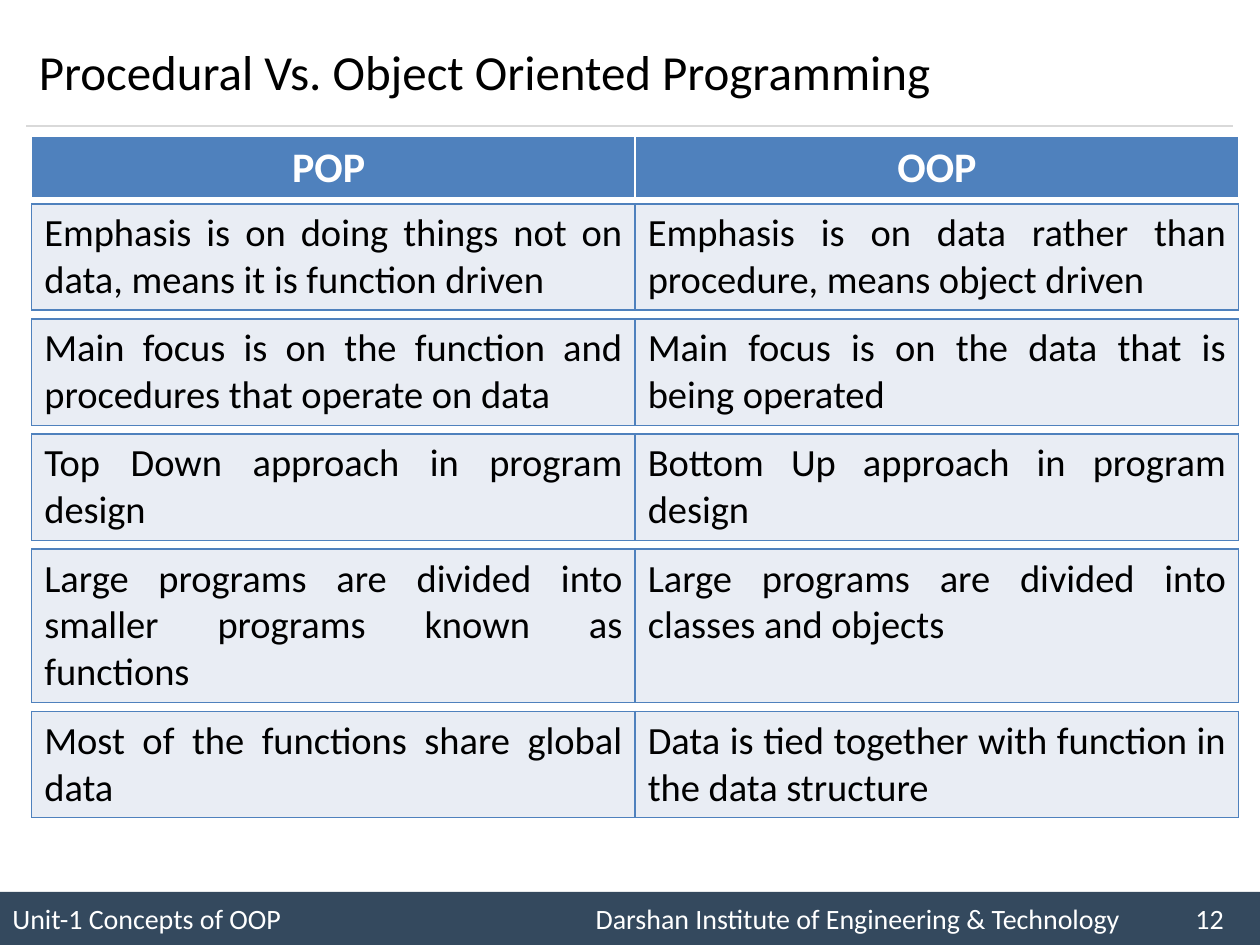
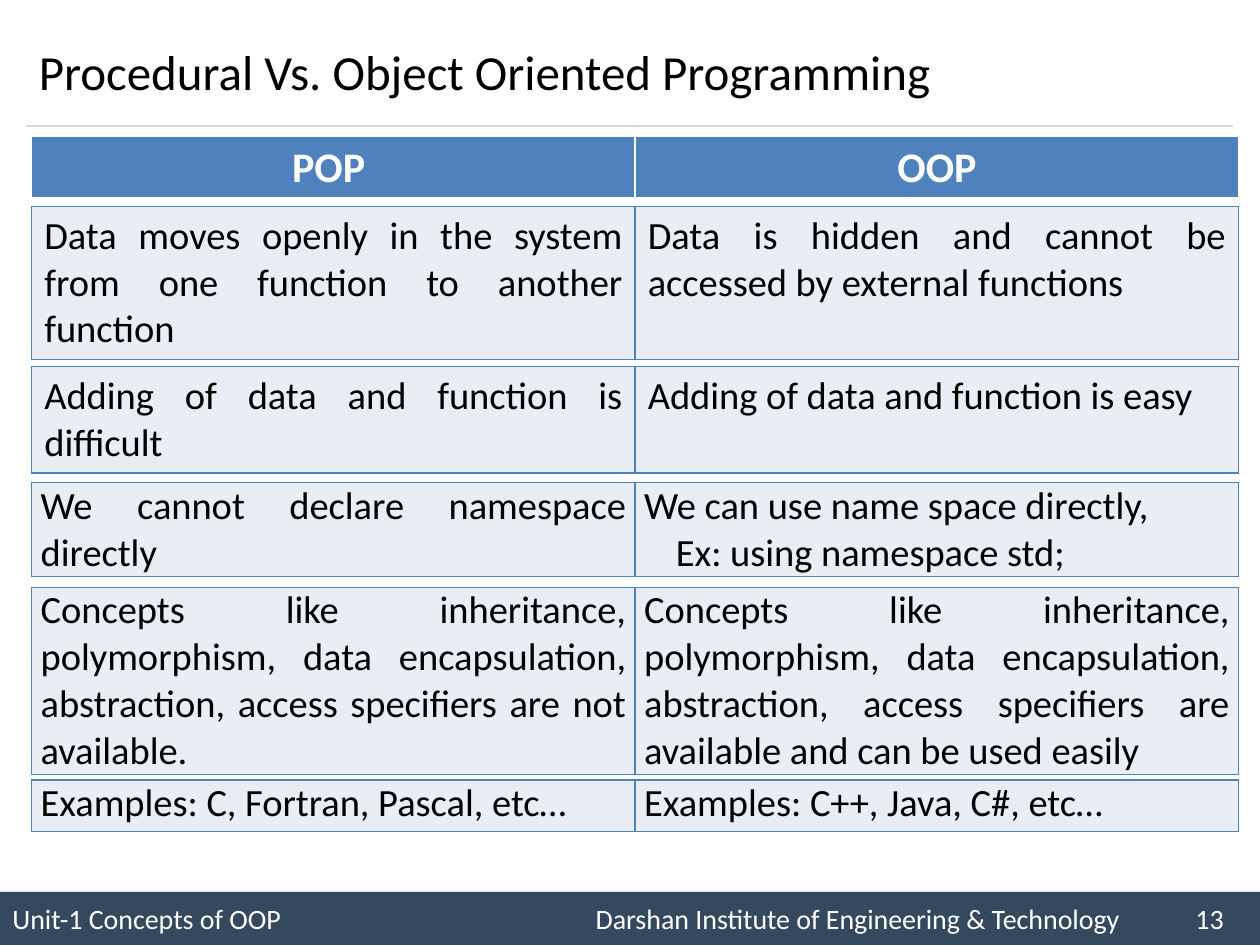
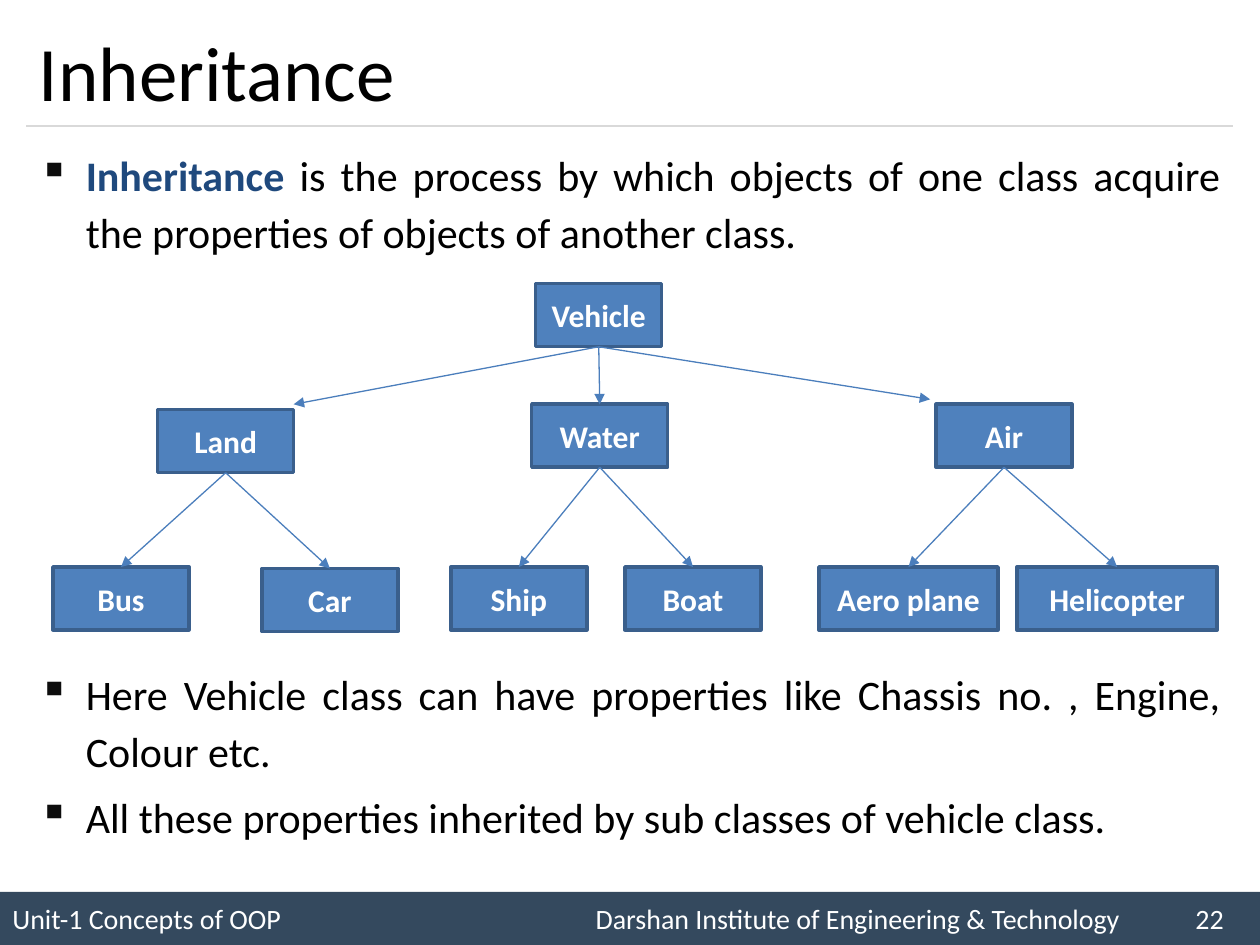
from collections import namedtuple

from lxml.etree import SubElement
from pptx import Presentation
from pptx.dml.color import RGBColor
from pptx.enum.shapes import MSO_CONNECTOR as Connector, MSO_SHAPE as Shape
from pptx.enum.text import MSO_ANCHOR as Anchor, PP_ALIGN as Align
from pptx.oxml.ns import qn
from pptx.util import Cm, Pt

Box = namedtuple("Box", "left top width height")
Row = namedtuple("Row", "top height cells compact", defaults=(False,))

COLORS = {
    "white": "FFFFFF", "black": "000000", "band": "34495E", "rule": "D9D9D9",
    "blue": "4F81BD", "pale": "E9EDF4", "edge": "3A5F8C", "arrow": "4B7EBC",
    "term": "1F497D", "bullet": "0D0D0D",
}
FONT = "Calibri"
PAGE = Box(0, 0, 25.4, 19.05)
TITLE = Box(0.53, 0.3, 24.33, 2.24)
BAND = Box(0, 17.98, 25.4, 1.07)
TABLES = Box(0.64, 2.74, 24.33, 14)
INTRO = Box(0.53, 2.74, 24.33, 2.8)
TREE = Box(1.07, 5.72, 23.47, 7.01)
NOTES = Box(0.53, 13.21, 24.33, 4.34)

FOOTER = ("Unit-1 Concepts of OOP", "Darshan Institute of Engineering & Technology")
FOOTER_TABS = (11.76, 23.85)
COMPARISON = "Procedural Vs. Object Oriented Programming"
BASICS = [
    Row(1.37, 2.11, ("Emphasis is on doing things not on data, means it is function driven",
                     "Emphasis is on data rather than procedure, means object driven")),
    Row(3.69, 2.11, ("Main focus is on the function and procedures that operate on data",
                     "Main focus is on the data that is being operated")),
    Row(6.01, 2.11, ("Top Down approach in program design",
                     "Bottom Up approach in program design")),
    Row(8.33, 3.05, ("Large programs are divided into smaller programs known as functions",
                     "Large programs are divided into classes and objects")),
    Row(11.6, 2.11, ("Most of the functions share global data",
                     "Data is tied together with function in the data structure")),
]
FEATURES = [
    Row(1.42, 3.05, ("Data moves openly in the system from one function to another function",
                     "Data is hidden and cannot be accessed by external functions")),
    Row(4.65, 2.11, ("Adding of data and function is difficult",
                     "Adding of data and function is easy")),
    Row(6.99, 1.85, ("We cannot declare namespace directly",
                     "We can use name space directly,\nEx: using namespace std;"), True),
    Row(9.1, 3.73, ("Concepts like inheritance, polymorphism, data encapsulation, "
                    "abstraction, access specifiers are not available.",
                    "Concepts like inheritance, polymorphism, data encapsulation, "
                    "abstraction, access specifiers are available and can be used easily"), True),
    Row(12.98, 1.04, ("Examples: C, Fortran, Pascal, etc…",
                      "Examples: C++, Java, C#, etc…"), True),
]
NODE_HEIGHT = 1.27
NODES = {
    "Vehicle": (9.73, 0, 2.54),
    "Land": (2.11, 2.54, 2.74),
    "Water": (9.65, 2.43, 2.74),
    "Air": (17.8, 2.43, 2.74),
    "Bus": (0, 5.71, 2.74),
    "Car": (4.21, 5.74, 2.74),
    "Ship": (8.02, 5.71, 2.74),
    "Boat": (11.53, 5.71, 2.74),
    "Aero plane": (15.44, 5.71, 3.61),
    "Helicopter": (19.43, 5.71, 4.04),
}
CHILDREN = {
    "Vehicle": ("Land", "Water", "Air"),
    "Land": ("Bus", "Car"),
    "Water": ("Ship", "Boat"),
    "Air": ("Aero plane", "Helicopter"),
}
LOOSE_ENDS = {"Land": (4.85, 2.43), "Air": (17.68, 2.33)}


def color(name):
    """Return the named palette colour."""
    return RGBColor.from_string(COLORS[name])


def lengths(box):
    """Turn a box into four lengths."""
    return [Cm(value) for value in box]


def style(font, size, name, bold=False):
    """Set the typeface, size, colour and weight of a font."""
    font.name, font.size, font.bold = FONT, Pt(size), bold
    font.color.rgb = color(name)


def add_block(page, box, fill):
    """Add a flat rectangle with vertically centred text."""
    block = page.shapes.add_shape(Shape.RECTANGLE, *lengths(box))
    block.shadow.inherit = False
    block.fill.solid()
    block.fill.fore_color.rgb = color(fill)
    block.text_frame.vertical_anchor = Anchor.MIDDLE
    return block


def add_line(page, start, end, name):
    """Add a thin straight connector without a shadow."""
    ends = [Cm(value) for value in (*start, *end)]
    line = page.shapes.add_connector(Connector.STRAIGHT, *ends)
    line.line.width = Pt(0.75)
    line.line.color.rgb = color(name)
    SubElement(line._element.spPr, qn("a:effectLst"))
    return line


def add_footer(page, box, number):
    """Draw the footer band with its three tabbed texts."""
    band = add_block(page, box, "band")
    band.line.fill.background()
    para = band.text_frame.paragraphs[0]
    para.text = "\t".join((*FOOTER, str(number)))
    para.alignment = Align.LEFT
    tabs = SubElement(para._p.get_or_add_pPr(), qn("a:tabLst"))
    for position in FOOTER_TABS:
        SubElement(tabs, qn("a:tab"), pos=str(Cm(position)), algn="l")
    style(para.font, 16, "white")


def add_page(deck, heading, size, number):
    """Add a slide with its title, rule and footer."""
    page = deck.slides.add_slide(deck.slide_layouts[5])
    add_footer(page, BAND, number)
    bottom = TITLE.top + TITLE.height
    add_line(page, (TITLE.left, bottom), (TITLE.left + TITLE.width, bottom), "rule")
    title = page.shapes.title
    title.left, title.top, title.width, title.height = lengths(TITLE)
    title.text_frame.text = heading
    title.text_frame.vertical_anchor = Anchor.MIDDLE
    para = title.text_frame.paragraphs[0]
    para.alignment = Align.LEFT
    style(para.font, size, "black")
    return page


def set_borders(cell, name, bottom=1):
    """Draw the four borders of a table cell."""
    for side, width in zip("LRTB", (1, 1, 1, bottom)):
        edge = SubElement(cell._tc.get_or_add_tcPr(), qn(f"a:ln{side}"), w=str(Pt(width)))
        fill = SubElement(edge, qn("a:solidFill"))
        SubElement(fill, qn("a:srgbClr"), val=COLORS[name])


def add_row_table(page, box, row, header=False):
    """Add a one-row table, as header or as body, inside the box."""
    place = Box(box.left, box.top + row.top, box.width, row.height)
    table = page.shapes.add_table(1, len(row.cells), *lengths(place)).table
    table.first_row, table.horz_banding = header, False
    for cell, text in zip(table.rows[0].cells, row.cells):
        set_borders(cell, "white" if header else "blue", 3 if header else 1)
        cell.fill.solid()
        cell.fill.fore_color.rgb = color("blue" if header else "pale")
        if row.compact:
            cell.margin_left = cell.margin_right = Cm(0.18)
            cell.margin_top = cell.margin_bottom = 0
        cell.text_frame.text = text
        for index, para in enumerate(cell.text_frame.paragraphs):
            para.alignment = Align.CENTER if header else Align.JUSTIFY
            if index:
                para._p.get_or_add_pPr().set("marL", str(Cm(0.64)))
            style(para.font, 24 if header else 22, "white" if header else "black", header)


def build_comparison(deck, number, rows):
    """Build a slide that compares POP and OOP row by row."""
    page = add_page(deck, COMPARISON, 28, number)
    add_row_table(page, TABLES, Row(0, 1.27, ("POP ", "OOP")), header=True)
    for row in rows:
        add_row_table(page, TABLES, row)


def add_bullets(page, box, items):
    """Add justified bullets, each a list of (text, is_term) spans."""
    frame = page.shapes.add_textbox(*lengths(box)).text_frame
    frame.word_wrap = True
    for index, spans in enumerate(items):
        para = frame.add_paragraph() if index else frame.paragraphs[0]
        para.alignment, para.line_spacing = Align.JUSTIFY, 1.14
        para.space_before = Pt(4.8 if index else 0)
        props = para._p.get_or_add_pPr()
        props.set("marL", str(Cm(0.95)))
        props.set("indent", str(Cm(-0.95)))
        tint = SubElement(props, qn("a:buClr"))
        SubElement(tint, qn("a:srgbClr"), val=COLORS["bullet"])
        SubElement(props, qn("a:buChar"), char="▪")
        style(para.font, 24, "black")
        for text, is_term in spans:
            span = para.add_run()
            span.text = text
            if is_term:
                span.font.bold = True
                span.font.color.rgb = color("term")


def add_tree(page, box):
    """Draw the class tree and its arrows inside the box."""
    blocks = {}
    for name, (left, top, width) in NODES.items():
        place = Box(box.left + left, box.top + top, width, NODE_HEIGHT)
        block = blocks[name] = add_block(page, place, "blue")
        block.line.color.rgb = color("edge")
        block.line.width = Pt(2)
        para = block.text_frame.paragraphs[0]
        para.text, para.alignment = name, Align.CENTER
        style(para.font, 18, "white", True)
    for parent, children in CHILDREN.items():
        for child in children:
            left, top = LOOSE_ENDS.get(child, (0, 0))
            end = (box.left + left, box.top + top)
            arrow = add_line(page, (box.left, box.top), end, "arrow")
            arrow.begin_connect(blocks[parent], 2)
            if child not in LOOSE_ENDS:
                arrow.end_connect(blocks[child], 0)
            SubElement(arrow.line._get_or_add_ln(), qn("a:tailEnd"), type="triangle")


def build_inheritance(deck, number):
    """Build the slide that explains inheritance with a class tree."""
    page = add_page(deck, "Inheritance", 44, number)
    add_bullets(page, INTRO, [[
        ("Inheritance", True),
        (" is the process by which objects of one class acquire "
         "the properties of objects of another class.", False),
    ]])
    add_tree(page, TREE)
    add_bullets(page, NOTES, [
        [("Here Vehicle class can have properties like Chassis no. , Engine, Colour etc.", False)],
        [("All these properties inherited by sub classes of vehicle class.", False)],
    ])


def main():
    """Build and save the deck."""
    deck = Presentation()
    deck.slide_width, deck.slide_height = Cm(PAGE.width), Cm(PAGE.height)
    build_comparison(deck, 12, BASICS)
    build_comparison(deck, 13, FEATURES)
    build_inheritance(deck, 22)
    deck.save("out.pptx")


if __name__ == "__main__":
    main()
